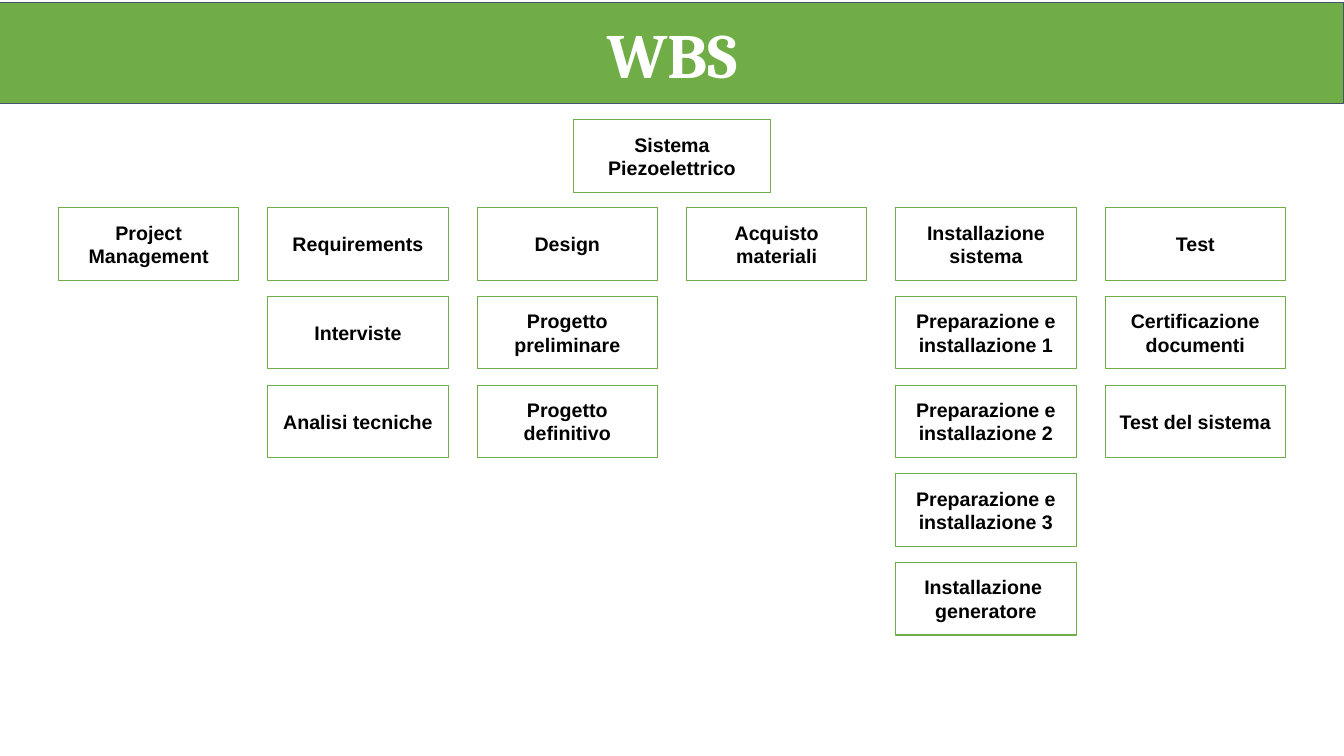
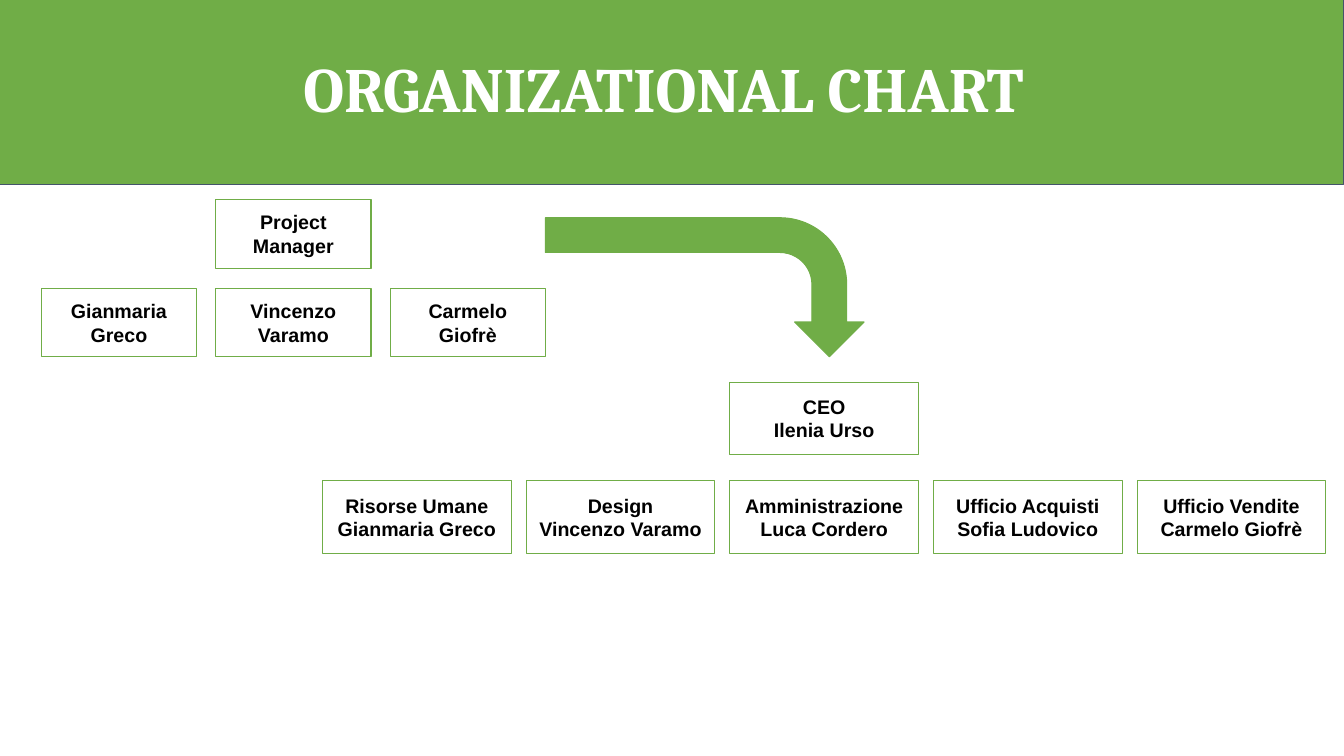
from pptx import Presentation
from pptx.dml.color import RGBColor
from pptx.enum.shapes import MSO_SHAPE
from pptx.enum.text import MSO_ANCHOR, PP_ALIGN
from pptx.util import Inches, Pt

GREEN = RGBColor(0x70, 0xAD, 0x47)
SLATE = RGBColor(0x44, 0x54, 0x6A)
WHITE = RGBColor(0xFF, 0xFF, 0xFF)
BLACK = RGBColor(0x00, 0x00, 0x00)

SLIDE_WIDTH, SLIDE_HEIGHT = 13.33, 7.5
TITLE_FONT = {"name": "Cambria", "size": Pt(45), "bold": True}
LABEL_FONT = {"name": "Arial", "size": Pt(14), "bold": True}
FRAME_FORMAT = {
    "word_wrap": True,
    "vertical_anchor": MSO_ANCHOR.MIDDLE,
    "margin_left": Inches(0.1),
    "margin_right": Inches(0.1),
    "margin_top": Inches(0.1),
    "margin_bottom": Inches(0.1),
}


class Deck:
    """Holds the presentation, its shared style and the current slide."""

    def __init__(self):
        self.presentation = Presentation()
        self.presentation.slide_width = Inches(SLIDE_WIDTH)
        self.presentation.slide_height = Inches(SLIDE_HEIGHT)
        self.slide = None

    def new_slide(self):
        blank = self.presentation.slide_layouts[6]
        self.slide = self.presentation.slides.add_slide(blank)

    def set_text(self, holder, text, font_format, color, line_spacing=1.0):
        """Centre the text in its holder, one paragraph per line."""
        frame = holder.text_frame
        for name, value in FRAME_FORMAT.items():
            setattr(frame, name, value)
        for index, line in enumerate(text.split("\n")):
            paragraph = frame.add_paragraph() if index else frame.paragraphs[0]
            paragraph.alignment = PP_ALIGN.CENTER
            paragraph.line_spacing = line_spacing
            run = paragraph.add_run()
            run.text = line
            for name, value in font_format.items():
                setattr(run.font, name, value)
            run.font.color.rgb = color

    def shape(self, preset, left, top, width, height, fill, outline):
        shape = self.slide.shapes.add_shape(
            preset, Inches(left), Inches(top), Inches(width), Inches(height))
        shape.shadow.inherit = False
        shape.fill.solid()
        shape.fill.fore_color.rgb = fill
        shape.line.color.rgb = outline
        shape.line.width = Pt(0.75)
        return shape

    def band(self, top, height):
        return self.shape(MSO_SHAPE.RECTANGLE, 0, top, SLIDE_WIDTH, height,
                          GREEN, SLATE)

    def title(self, text, left, top, width, height):
        title = self.slide.shapes.add_textbox(
            Inches(left), Inches(top), Inches(width), Inches(height))
        self.set_text(title, text, TITLE_FONT, WHITE, line_spacing=0.9)

    def box(self, text, left, top, width, height=0.72):
        box = self.shape(MSO_SHAPE.RECTANGLE, left, top, width, height,
                         WHITE, GREEN)
        self.set_text(box, text, LABEL_FONT, BLACK)

    def row(self, labels, left, top, pitch, width, height=0.72):
        for index, label in enumerate(labels):
            self.box(label, left + index * pitch, top, width, height)

    def bent_arrow(self, left, top, width, height):
        """Draw an arrow that runs right and then turns down."""
        arrow = self.shape(MSO_SHAPE.BENT_ARROW, left, top, width, height,
                           GREEN, GREEN)
        arrow.rotation = 90
        arrow.adjustments[3] = 0.48


WORK_PACKAGES = [
    ["Project Management"],
    ["Requirements", "Interviste", "Analisi tecniche"],
    ["Design", "Progetto preliminare", "Progetto definitivo"],
    ["Acquisto materiali"],
    ["Installazione sistema", "Preparazione e installazione 1",
     "Preparazione e installazione 2", "Preparazione e installazione 3",
     "Installazione \ngeneratore"],
    ["Test", "Certificazione documenti", "Test del sistema"],
]
MANAGERS = ["Gianmaria Greco", "Vincenzo Varamo", "Carmelo Giofrè"]
DEPARTMENTS = [
    "Risorse Umane\nGianmaria Greco",
    "Design\nVincenzo Varamo",
    "Amministrazione\nLuca Cordero",
    "Ufficio Acquisti\nSofia Ludovico",
    "Ufficio Vendite\nCarmelo Giofrè",
]


def build_wbs(deck):
    left, right, box_width = 0.58, 12.75, 1.79
    top, row_pitch = 2.06, 0.88
    column_pitch = (right - left - box_width) / (len(WORK_PACKAGES) - 1)
    deck.new_slide()
    header = deck.band(0.02, 1.01)
    deck.set_text(header, "WBS", TITLE_FONT, WHITE)
    deck.box("Sistema Piezoelettrico", 5.69, 1.19, 1.95)
    for column, tasks in enumerate(WORK_PACKAGES):
        for level, task in enumerate(tasks):
            deck.box(task, left + column * column_pitch,
                     top + level * row_pitch, box_width)


def build_organization(deck):
    manager_left, manager_pitch = 0.41, 1.73
    department_left, department_pitch = 3.2, 2.02
    deck.new_slide()
    deck.band(0, 1.83)
    deck.title("ORGANIZATIONAL CHART", 1.95, 0.04, 9.26, 1.75)
    deck.box("Project Manager", manager_left + manager_pitch, 1.98, 1.54, 0.68)
    deck.row(MANAGERS, manager_left, 2.86, manager_pitch, 1.54, 0.68)
    deck.bent_arrow(6.3, 1.27, 1.38, 3.16)
    deck.box("CEO\nIlenia Urso", department_left + 2 * department_pitch,
             3.79, 1.87)
    deck.row(DEPARTMENTS, department_left, 4.77, department_pitch, 1.87)


def main():
    deck = Deck()
    build_wbs(deck)
    build_organization(deck)
    deck.presentation.save("out.pptx")


if __name__ == "__main__":
    main()
